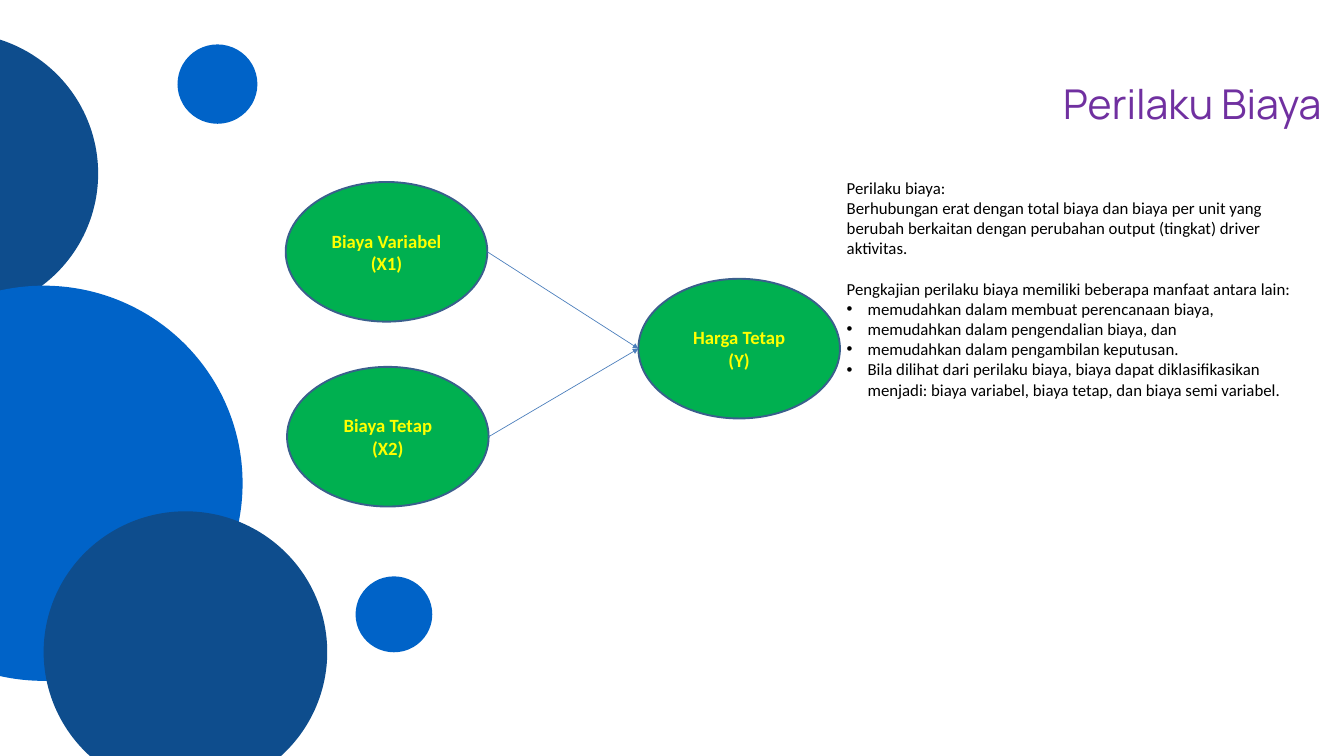
"""Builds the slide "Perilaku Biaya" with a cost diagram and an explanation."""
from pptx import Presentation
from pptx.dml.color import RGBColor
from pptx.enum.shapes import MSO_CONNECTOR, MSO_SHAPE
from pptx.enum.text import MSO_ANCHOR, MSO_AUTO_SIZE, PP_ALIGN
from pptx.oxml.ns import qn
from pptx.util import Cm, Pt
from lxml import etree

OVAL = MSO_SHAPE.OVAL
STRAIGHT = MSO_CONNECTOR.STRAIGHT
TOP, MIDDLE = MSO_ANCHOR.TOP, MSO_ANCHOR.MIDDLE
CENTER, LEFT, RIGHT = PP_ALIGN.CENTER, PP_ALIGN.LEFT, PP_ALIGN.RIGHT
NO_FIT = MSO_AUTO_SIZE.NONE

COLORS = {
    "navy": "0E4D8D",
    "blue": "0063C8",
    "green": "00B050",
    "outline": "3A5F8C",
    "arrow": "4B7EBC",
    "yellow": "FFFF00",
    "purple": "7030A0",
    "black": "000000",
}

TITLE_FONT = {"name": "Manrope", "size": Pt(44), "bold": False}
NODE_FONT = {"name": "Calibri", "size": Pt(20), "bold": True}
BODY_FONT = {"name": "Calibri", "size": Pt(18), "bold": False}

CIRCLES = [
    (-7.01, 1.24, 10.72, 10.64, "navy"),
    (-5.87, 10.8, 15.04, 14.94, "blue"),
    (6.71, 1.68, 3.02, 3, "blue"),
    (1.65, 19.33, 10.72, 10.64, "navy"),
    (13.44, 21.79, 2.9, 2.87, "blue"),
]
NODE_SIZE = (7.62, 5.28)
BULLET_INDENT = Cm(0.79)

# (text, has bullet, space before in points)
BODY = [
    ("Perilaku biaya:", False, 0),
    ("Berhubungan erat dengan total biaya dan biaya per unit yang berubah "
     "berkaitan dengan perubahan output (tingkat) driver aktivitas.", False, 0),
    ("Pengkajian perilaku biaya memiliki beberapa manfaat antara lain:", False, 22),
    ("memudahkan dalam membuat perencanaan biaya,", True, 0),
    ("memudahkan dalam pengendalian biaya, dan", True, 0),
    ("memudahkan dalam pengambilan keputusan.", True, 0),
    ("Bila dilihat dari perilaku biaya, biaya dapat diklasifikasikan menjadi: "
     "biaya variabel, biaya tetap, dan biaya semi variabel.", True, 0),
]


def rgb(name):
    return RGBColor.from_string(COLORS[name])


def set_attrs(obj, values):
    for name, value in values.items():
        setattr(obj, name, value)


def place(sp, left, top, width, height):
    set_attrs(sp, {"left": Cm(left), "top": Cm(top),
                   "width": Cm(width), "height": Cm(height)})


def add_run(p, text, font, color):
    r = p.add_run()
    r.text = text
    set_attrs(r.font, font)
    r.font.color.rgb = rgb(color)


def add_oval(slide, left, top, width, height, fill, outline=None):
    sp = slide.shapes.add_shape(OVAL, Cm(left), Cm(top), Cm(width), Cm(height))
    sp.shadow.inherit = False
    sp.fill.solid()
    sp.fill.fore_color.rgb = rgb(fill)
    if outline:
        sp.line.color.rgb = rgb(outline)
        sp.line.width = Pt(2)
    else:
        sp.line.fill.background()
    return sp


def add_node(slide, left, top, *lines):
    sp = add_oval(slide, left, top, *NODE_SIZE, "green", "outline")
    tf = sp.text_frame
    set_attrs(tf, {"word_wrap": True, "vertical_anchor": MIDDLE})
    for i, line in enumerate(lines):
        p = tf.add_paragraph() if i else tf.paragraphs[0]
        p.alignment = CENTER
        add_run(p, line, NODE_FONT, "yellow")
    return sp


def add_arrow(slide, source, target):
    cxn = slide.shapes.add_connector(
        STRAIGHT, source.left + source.width, source.top + source.height // 2,
        target.left, target.top + target.height // 2)
    cxn.line.color.rgb = rgb("arrow")
    cxn.line.width = Pt(0.75)
    sp_pr = cxn.element.spPr
    etree.SubElement(sp_pr.find(qn("a:ln")), qn("a:tailEnd"), type="triangle")
    etree.SubElement(sp_pr, qn("a:effectLst"))


def set_bullet(p, bulleted):
    p_pr = p._p.get_or_add_pPr()
    p_pr.set("marL", str(BULLET_INDENT if bulleted else 0))
    p_pr.set("indent", str(-BULLET_INDENT if bulleted else 0))
    if bulleted:
        etree.SubElement(p_pr, qn("a:buFont"), typeface="Arial")
        etree.SubElement(p_pr, qn("a:buChar"), char="•")
    else:
        etree.SubElement(p_pr, qn("a:buNone"))


def fill_title(sp):
    place(sp, 7.75, 0.89, 42.21, 3.43)
    tf = sp.text_frame
    set_attrs(tf, {"margin_left": 0, "margin_top": 0, "margin_right": 0,
                   "margin_bottom": 0, "word_wrap": True,
                   "vertical_anchor": TOP, "auto_size": NO_FIT})
    p = tf.paragraphs[0]
    set_attrs(p, {"alignment": RIGHT, "line_spacing": Pt(112)})
    add_run(p, "Perilaku Biaya", TITLE_FONT, "purple")


def fill_body(sp):
    place(sp, 31.75, 6.58, 18.47, 8.71)
    tf = sp.text_frame
    set_attrs(tf, {"word_wrap": True, "vertical_anchor": TOP, "auto_size": NO_FIT})
    for i, (text, bulleted, gap) in enumerate(BODY):
        p = tf.add_paragraph() if i else tf.paragraphs[0]
        set_attrs(p, {"alignment": LEFT, "space_before": Pt(gap)})
        set_bullet(p, bulleted)
        add_run(p, text, BODY_FONT, "black")


def main():
    prs = Presentation()
    prs.slide_width, prs.slide_height = Cm(50.8), Cm(28.58)
    slide = prs.slides.add_slide(prs.slide_layouts[1])
    for circle in CIRCLES:
        add_oval(slide, *circle)
    fill_title(slide.shapes.title)
    variable = add_node(slide, 10.8, 6.88, "Biaya Variabel", "(X1)")
    fixed = add_node(slide, 10.85, 13.87, "Biaya Tetap", "(X2)")
    price = add_node(slide, 24.13, 10.54, "Harga Tetap", "(Y)")
    for source in (variable, fixed):
        add_arrow(slide, source, price)
    fill_body(slide.placeholders[1])
    prs.save("out.pptx")


if __name__ == "__main__":
    main()
